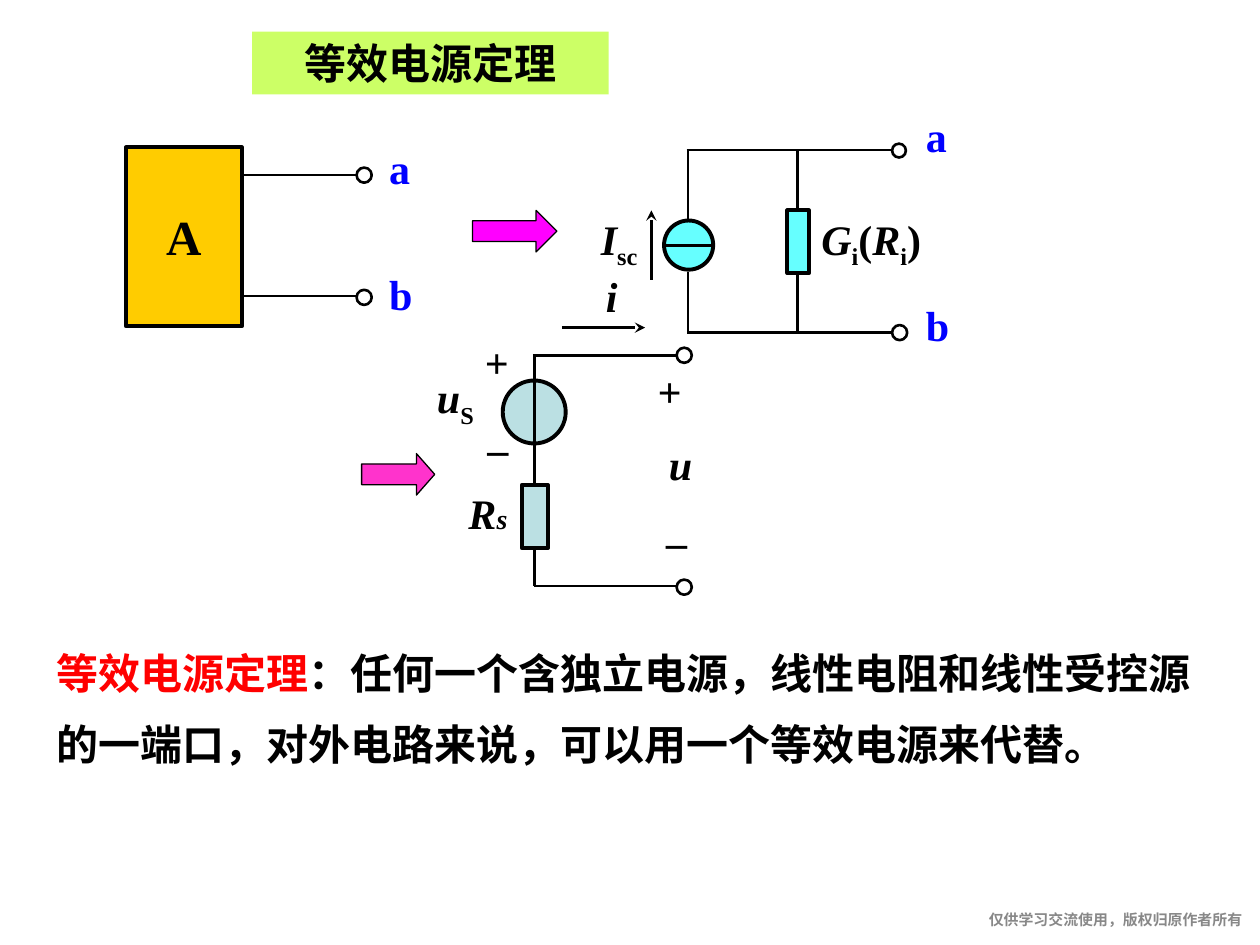
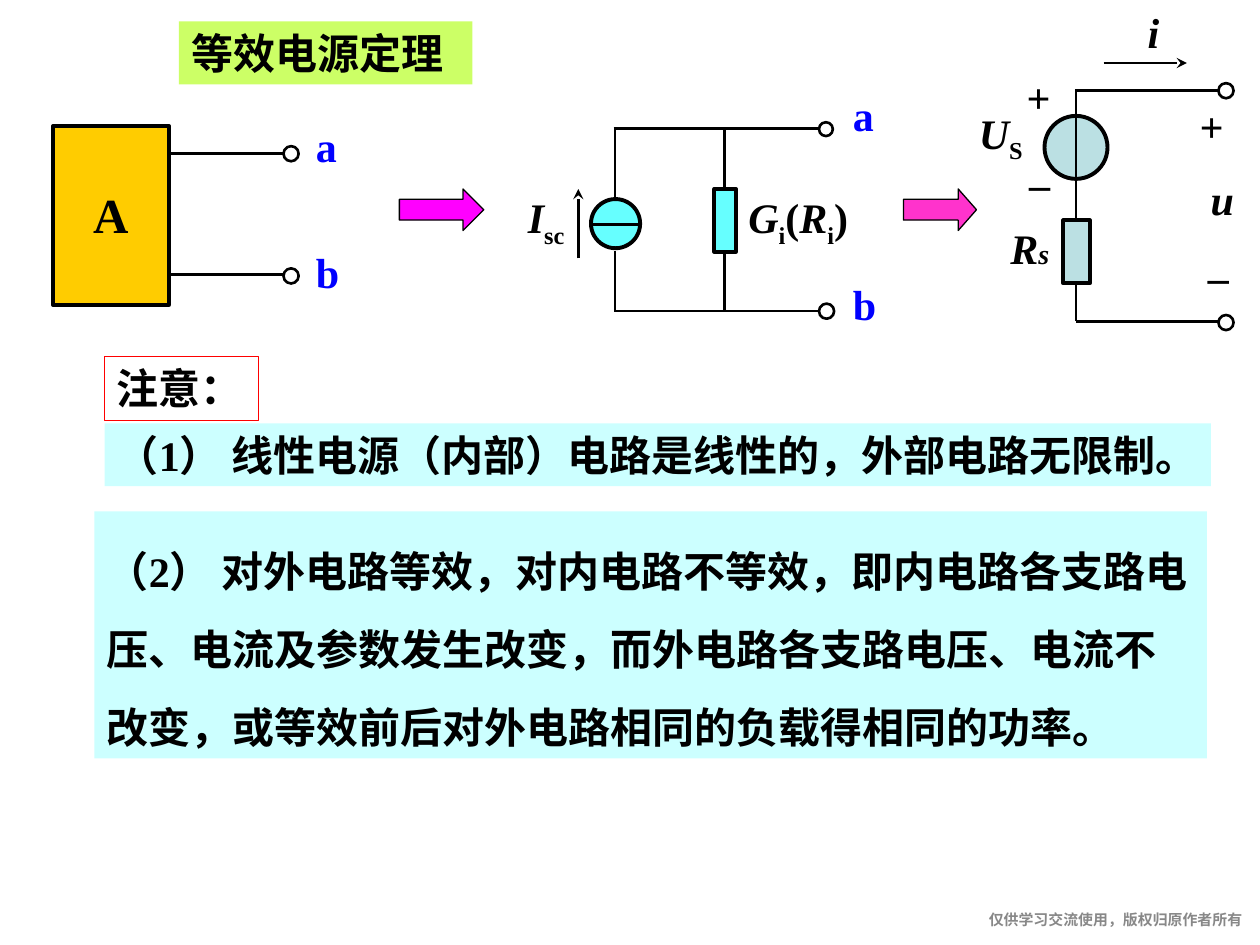
from lxml.etree import SubElement
from pptx import Presentation
from pptx.dml.color import RGBColor
from pptx.enum.shapes import MSO_CONNECTOR, MSO_SHAPE
from pptx.enum.text import MSO_ANCHOR, MSO_AUTO_SIZE, PP_ALIGN
from pptx.oxml.ns import qn
from pptx.util import Inches, Pt

BLACK, BLUE, RED, GREY = "000000", "0000FF", "FF0000", "888888"
AMBER, CYAN, TEAL, LIME, PALE = "FFCC00", "66FFFF", "BBE0E3", "CCFF66", "CCFFFF"
MAGENTA, PINK = "FF00FF", "FF33CC"
SERIF, SANS = "Times New Roman", "Arial"
TITLE = "等效电源定理"
RECT, OVAL, ARROW = MSO_SHAPE.RECTANGLE, MSO_SHAPE.OVAL, MSO_SHAPE.RIGHT_ARROW

rgb = RGBColor.from_string


def write(frame, runs, size=24, color=BLACK, font=SERIF, anchor=MSO_ANCHOR.TOP):
    """Fill a frame with one bold paragraph of (text, style) runs."""
    frame.word_wrap = True
    frame.auto_size = MSO_AUTO_SIZE.NONE
    frame.vertical_anchor = anchor
    paragraph = frame.paragraphs[0]
    paragraph.font.size = Pt(size)
    paragraph.font.bold = True
    paragraph.font.name = font
    paragraph.font.color.rgb = rgb(color)
    for text, style in runs:
        run = paragraph.add_run()
        run.text = text
        if style in ("italic", "small"):
            run.font.italic = True
        if style == "small":
            run.font.size = Pt(16)
        if style == "sub":
            run.font._element.set("baseline", "-25000")
        if style == "red":
            run.font.color.rgb = rgb(RED)
    return paragraph


def add_text(slide, box, runs, **look):
    """Add a text box at box (left, top, width, height) and return it with its paragraph."""
    text_box = slide.shapes.add_textbox(*map(Inches, box))
    return text_box, write(text_box.text_frame, runs, **look)


# Each circuit: shapes (kind, box, fill, line width), wires, current arrow,
# labels (left, top, width, runs, size, colour).
norton = dict(
    shapes=[
        (ARROW, (3.75, 1.67, 0.67, 0.33), MAGENTA, 0.75),
        (RECT, (1, 1.17, 0.92, 1.42), AMBER, 2.25),
        (OVAL, (2.83, 1.33, 0.12, 0.12), None, 1.5),
        (OVAL, (2.83, 2.3, 0.12, 0.12), None, 1.5),
        (RECT, (6.25, 1.67, 0.17, 0.5), CYAN, 2.25),
        (OVAL, (5.27, 1.75, 0.39, 0.39), CYAN, 2.25),
        (OVAL, (7.08, 1.14, 0.11, 0.11), None, 1.5),
        (OVAL, (7.08, 2.58, 0.12, 0.12), None, 1.5),
    ],
    wires=[
        (1.92, 1.39, 2.84, 1.39), (1.92, 2.35, 2.83, 2.35),
        (5.45, 1.19, 7.09, 1.19), (5.46, 2.64, 7.08, 2.64),
        (6.33, 1.19, 6.33, 1.67), (6.33, 2.17, 6.33, 2.64),
        (5.46, 1.19, 5.46, 1.76), (5.46, 2.16, 5.46, 2.65),
        (5.27, 1.95, 5.66, 1.95),
    ],
    current=(5.17, 2.22, 5.17, 1.67),
    labels=[
        (1.22, 1.62, 0.6, [("A", "")], 28, BLACK),
        (2.99, 1.08, 0.4, [("a", "")], 24, BLUE),
        (2.99, 2.08, 0.4, [("b", "")], 24, BLUE),
        (7.25, 0.83, 0.58, [("a", "")], 24, BLUE),
        (7.25, 2.33, 0.42, [("b", "")], 24, BLUE),
        (6.42, 1.67, 1.25, [("G", "italic"), ("i", "sub"), ("(", ""),
                            ("R", "italic"), ("i", "sub"), (")", "")], 24, BLACK),
        (4.67, 1.67, 0.75, [("I", "italic"), ("sc", "sub")], 24, BLACK),
    ],
)
thevenin = dict(
    shapes=[
        (OVAL, (3.99, 3.02, 0.5, 0.5), TEAL, 2.25),
        (RECT, (4.14, 3.85, 0.21, 0.5), TEAL, 2.25),
        (OVAL, (5.37, 2.76, 0.12, 0.12), None, 1.5),
        (OVAL, (5.37, 4.6, 0.12, 0.12), None, 1.5),
        (ARROW, (2.87, 3.6, 0.58, 0.33), PINK, 0.75),
    ],
    wires=[
        (4.24, 2.81, 4.24, 3.85), (4.24, 4.35, 4.24, 4.65),
        (4.23, 2.82, 5.37, 2.82), (4.24, 4.65, 5.37, 4.65),
    ],
    current=(4.46, 2.6, 5.12, 2.6),
    labels=[
        (4.71, 2.1, 0.42, [("i", "italic")], 24, BLACK),
        (3.75, 2.62, 0.4, [("+", "")], 24, BLACK),
        (3.77, 3.19, 0.4, [("_", "")], 24, BLACK),
        (3.62, 3.82, 0.7, [("R", "italic"), ("s", "small")], 24, BLACK),
        (5.12, 2.85, 0.5, [("+", "italic")], 24, BLACK),
        (5.21, 3.43, 0.5, [("u", "italic")], 24, BLACK),
        (5.21, 3.93, 0.5, [("_", "italic")], 24, BLACK),
    ],
)

# Title box, title font and alignment, source voltage letter, shift of each circuit
pages = [
    ((2, 0.25, 2.83, 0.5), SANS, PP_ALIGN.CENTER, "u", (0, 0), (0, 0)),
    ((1.42, 0.17, 2.33, 0.5), SERIF, PP_ALIGN.LEFT, "U", (-0.58, -0.17), (4.3, -2.1)),
]

prs = Presentation()
prs.slide_width, prs.slide_height = Inches(10), Inches(7.5)

for title_box, title_font, title_align, voltage, norton_shift, thevenin_shift in pages:
    slide = prs.slides.add_slide(prs.slide_layouts[5])
    title = slide.shapes.title
    title.left, title.top, title.width, title.height = map(Inches, title_box)
    title.fill.solid()
    title.fill.fore_color.rgb = rgb(LIME)
    heading = write(title.text_frame, [(TITLE, "")], font=title_font,
                    anchor=MSO_ANCHOR.MIDDLE)
    heading.alignment = title_align

    source_label = (3.37, 2.93, 0.7, [(voltage, "italic"), ("S", "sub")], 24, BLACK)
    for circuit, (dx, dy), extra_labels in (
        (norton, norton_shift, []),
        (thevenin, thevenin_shift, [source_label]),
    ):
        for kind, (x, y, w, h), fill, width in circuit["shapes"]:
            part = slide.shapes.add_shape(
                kind, Inches(x + dx), Inches(y + dy), Inches(w), Inches(h))
            part.shadow.inherit = False
            part.line.color.rgb = rgb(BLACK)
            part.line.width = Pt(width)
            if fill:
                part.fill.solid()
                part.fill.fore_color.rgb = rgb(fill)
            else:
                part.fill.background()
            if fill == PINK:
                part.adjustments[1] = 0.44

        for x1, y1, x2, y2 in circuit["wires"] + [circuit["current"]]:
            wire = slide.shapes.add_connector(
                MSO_CONNECTOR.STRAIGHT, Inches(x1 + dx), Inches(y1 + dy),
                Inches(x2 + dx), Inches(y2 + dy))
            wire.line.color.rgb = rgb(BLACK)
            wire.line.width = Pt(1.5)
            SubElement(wire._element.spPr, qn("a:effectLst"))
        # The last line drawn is the current arrow
        SubElement(wire.line._get_or_add_ln(), qn("a:tailEnd"), type="stealth")

        for x, y, w, runs, size, color in circuit["labels"] + extra_labels:
            add_text(slide, (x + dx, y + dy, w, 0.5), runs, size=size, color=color,
                     anchor=MSO_ANCHOR.MIDDLE)

    footer, notice = add_text(slide, (6.06, 7.23, 3.8, 0.22),
                              [("仅供学习交流使用，版权归原作者所有", "")],
                              size=8.5, color=GREY, font=SANS)
    notice.alignment = PP_ALIGN.RIGHT
    frame = footer.text_frame
    frame.margin_left = frame.margin_right = frame.margin_top = frame.margin_bottom = 0

theorem_slide, remarks_slide = prs.slides

# Statement of the theorem
_, statement = add_text(theorem_slide, (0.35, 4.93, 9.25, 1.22), [
    (TITLE, "red"),
    ("：任何一个含独立电源，线性电阻和线性受控源的一端口，"
     "对外电路来说，可以用一个等效电源来代替。", ""),
])
statement.line_spacing = 1.4

# Remarks: box, text, fill, line, wrap, line spacing
remarks = [
    ((0.83, 2.83, 1.22, 0.51), "注意：", None, RED, False, 1.0),
    ((0.83, 3.36, 8.78, 0.5), "（1） 线性电源（内部）电路是线性的，外部电路无限制。",
     PALE, None, False, 1.0),
    ((0.75, 4.06, 8.83, 1.96),
     "（2） 对外电路等效，对内电路不等效，即内电路各支路电压、电流及参数发生改变，"
     "而外电路各支路电压、电流不改变，或等效前后对外电路相同的负载得相同的功率。",
     PALE, None, True, 1.55),
]
for box, text, fill, line, wrap, spacing in remarks:
    remark, paragraph = add_text(remarks_slide, box, [(text, "")])
    remark.text_frame.word_wrap = wrap
    paragraph.line_spacing = spacing
    paragraph.alignment = PP_ALIGN.LEFT
    if fill:
        remark.fill.solid()
        remark.fill.fore_color.rgb = rgb(fill)
    if line:
        remark.line.color.rgb = rgb(line)
        remark.line.width = Pt(0.75)

prs.save("out.pptx")
